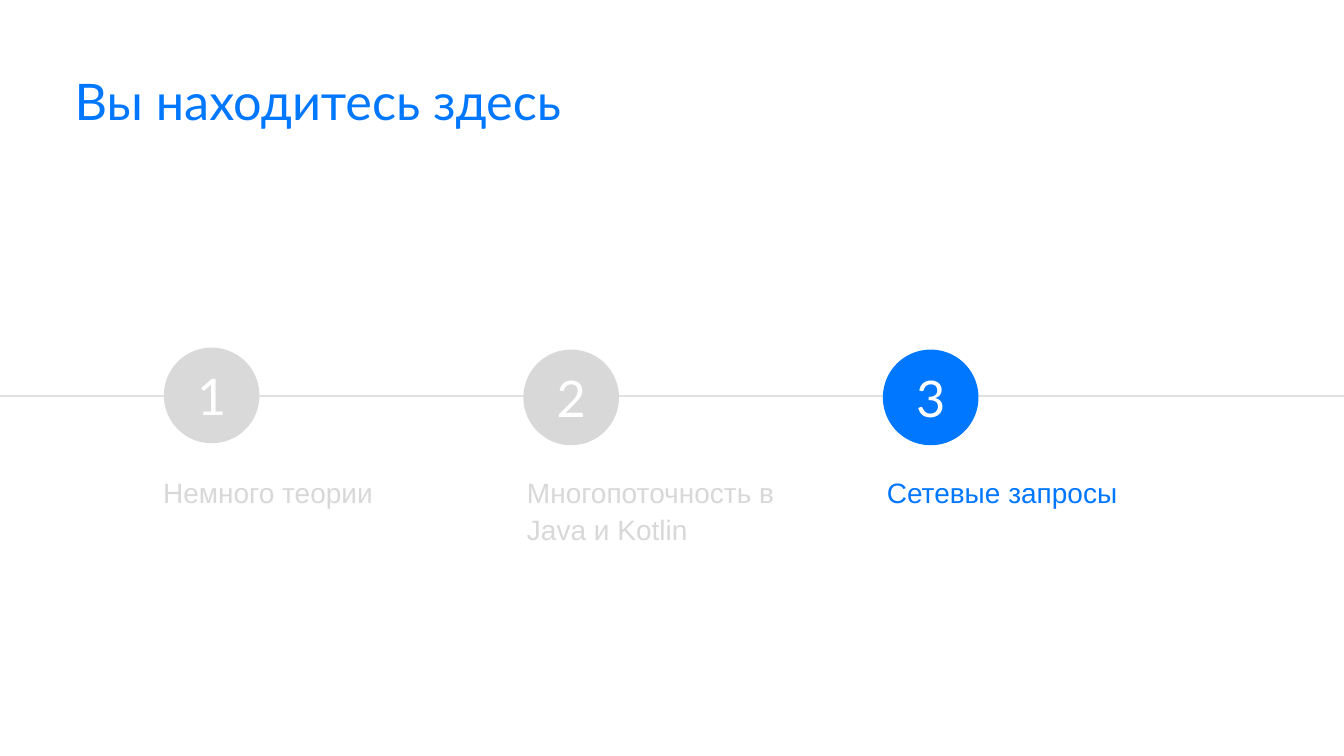
from pptx import Presentation
from pptx.dml.color import RGBColor
from pptx.enum.shapes import MSO_CONNECTOR as Connector, MSO_SHAPE as Shape
from pptx.enum.text import MSO_ANCHOR as Anchor, MSO_AUTO_SIZE as AutoSize, PP_ALIGN as Align
from pptx.oxml.ns import qn
from pptx.util import Cm, Pt
from lxml.etree import SubElement

WIDTH, HEIGHT = 33.87, 19.05
STEP_LEFT, STEP_PITCH, CIRCLE_SIZE = 4.13, 9.06, 2.41
STEPS = [
    ("Немного теории", "D9D9D9", "D8D8D8", 8.76, 4.01, 1.14),
    ("Многопоточность в Java и Kotlin", "D8D8D8", "D8D8D8", 8.81, 13.18, 2.08),
    ("Сетевые запросы", "0077FF", "0077FF", 8.81, 22.25, 1.14),
]


def color(value):
    return RGBColor.from_string(value)


class Page:
    accent, rule, white = "0077FF", "E1E1E2", "FFFFFF"
    heading_font, body_font = "Lato", "Arial"

    def __init__(self, deck):
        self.slide = deck.slides.add_slide(deck.slide_layouts[5])

    def set_text(self, box, text, font, size, fill, margins, anchor=Anchor.TOP,
                 align=Align.LEFT, spacing=1.0):
        frame = box.text_frame
        frame.text = text
        frame.word_wrap = True
        frame.vertical_anchor = anchor
        frame.margin_left = frame.margin_right = Cm(margins[0])
        frame.margin_top = frame.margin_bottom = Cm(margins[1])
        para = frame.paragraphs[0]
        para.alignment = align
        para.line_spacing = spacing
        para.space_before = Pt(0)
        span = para.runs[0]
        span.font.name = font
        span.font.size = Pt(size)
        span.font.color.rgb = color(fill)

    def title(self, text, left, top, width, height):
        box = self.slide.shapes.title
        box.left, box.top, box.width, box.height = map(Cm, (left, top, width, height))
        self.set_text(box, text, self.heading_font, 36, self.accent, (0, 0), spacing=0.9)
        box.text_frame.auto_size = AutoSize.NONE

    def line(self, top):
        line = self.slide.shapes.add_connector(
            Connector.STRAIGHT, Cm(WIDTH), Cm(top), Cm(0), Cm(top))
        line.line.color.rgb = color(self.rule)
        line.line.width = Pt(1)
        SubElement(line._element.spPr, qn("a:effectLst"))

    def circle(self, text, left, top, fill):
        box = self.slide.shapes.add_shape(
            Shape.OVAL, Cm(left), Cm(top), Cm(CIRCLE_SIZE), Cm(CIRCLE_SIZE))
        box.shadow.inherit = False
        box.fill.solid()
        box.fill.fore_color.rgb = color(fill)
        box.line.fill.background()
        self.set_text(box, text, self.heading_font, 36, self.white, (0, 0.13),
                      Anchor.MIDDLE, Align.CENTER)

    def label(self, text, left, top, height, fill):
        box = self.slide.shapes.add_textbox(Cm(left), Cm(top), Cm(7.09), Cm(height))
        self.set_text(box, text, self.body_font, 20, fill, (0.1, 0.1), spacing=1.1)
        box.text_frame.auto_size = AutoSize.SHAPE_TO_FIT_TEXT


def main():
    deck = Presentation()
    deck.slide_width, deck.slide_height = Cm(WIDTH), Cm(HEIGHT)
    page = Page(deck)
    page.title("Вы находитесь здесь", 1.88, 1.93, 30.15, 1.78)
    page.line(9.98)
    for index, (text, fill, ink, top, label_left, height) in enumerate(STEPS):
        page.circle(str(index + 1), STEP_LEFT + index * STEP_PITCH, top, fill)
        page.label(text, label_left, 11.81, height, ink)
    deck.save("out.pptx")


if __name__ == "__main__":
    main()
